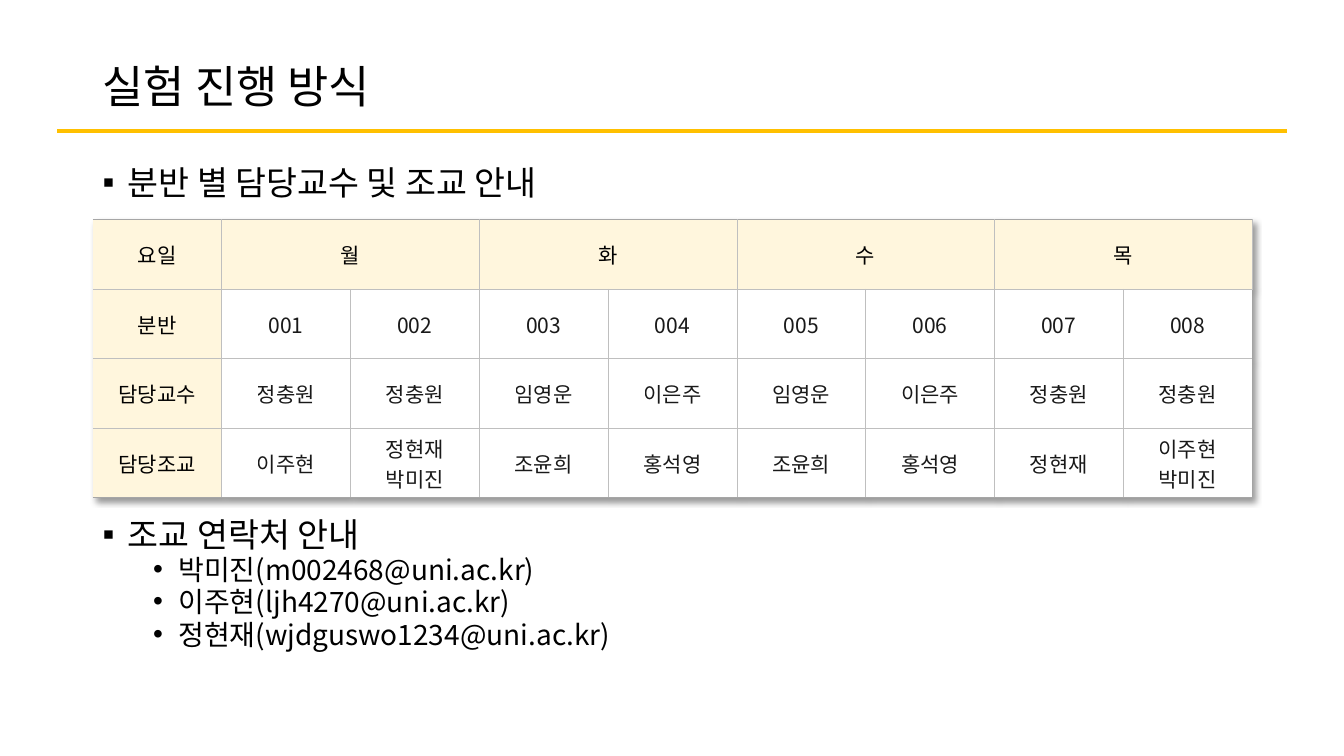
"""Build the slide on how the lab sections are run."""
from lxml.etree import SubElement
from pptx import Presentation
from pptx.dml.color import RGBColor
from pptx.enum.shapes import MSO_CONNECTOR
from pptx.enum.text import MSO_ANCHOR, PP_ALIGN
from pptx.oxml.ns import qn
from pptx.util import Emu, Inches, Pt

TITLE = "실험 진행 방식"
SECTION_HEADING = "분반 별 담당교수 및 조교 안내"
CONTACT_HEADING = "조교 연락처 안내"
CONTACTS = [
    "박미진(m002468@uni.ac.kr)",
    "이주현(ljh4270@uni.ac.kr)",
    "정현재(wjdguswo1234@uni.ac.kr)",
]
DAYS = ["월", "화", "수", "목"]
SECTIONS = [
    ["분반", "001", "002", "003", "004", "005", "006", "007", "008"],
    ["담당교수", "정충원", "정충원", "임영운", "이은주", "임영운", "이은주", "정충원", "정충원"],
    ["담당조교", "이주현", "정현재\n박미진", "조윤희", "홍석영", "조윤희", "홍석영", "정현재", "이주현\n박미진"],
]

FONT = "Noto Sans CJK KR"
BLACK = RGBColor(0x00, 0x00, 0x00)
WHITE = RGBColor(0xFF, 0xFF, 0xFF)
GOLD = RGBColor(0xFF, 0xC0, 0x00)
CREAM = RGBColor(0xFF, 0xF6, 0xDD)
GRID_GREY = RGBColor(0xBF, 0xBF, 0xBF)
EDGE_GREY = RGBColor(0xA6, 0xA6, 0xA6)

SLIDE_WIDTH, SLIDE_HEIGHT = Inches(13.33), Inches(7.5)
LEFT, CONTENT_WIDTH = Inches(0.92), Inches(11.5)
RULE_LEFT, RULE_TOP = Inches(0.57), Inches(1.3)
TABLE_TOP, ROW_HEIGHT = Inches(2.18), Inches(0.69)
ROWS, COLUMNS = len(SECTIONS) + 1, len(SECTIONS[0])
BULLETS = {
    0: {"char": "▪", "indent": 0.25, "size": 24, "before": 8},
    1: {"char": "•", "indent": 0.75, "size": 20, "before": 4},
}


def style_font(paragraph, size, alpha=None):
    font = paragraph.font
    font.size, font.name = Pt(size), FONT
    font.color.rgb = BLACK
    properties = paragraph._p.pPr.find(qn("a:defRPr"))
    if alpha:
        color = properties.find(qn("a:solidFill")).find(qn("a:srgbClr"))
        SubElement(color, qn("a:alpha"), val=str(alpha * 1000))
    SubElement(properties, qn("a:ea"), typeface=FONT)


def add_text(slide, top, height, anchor=MSO_ANCHOR.TOP):
    box = slide.shapes.add_textbox(LEFT, top, CONTENT_WIDTH, height)
    box.text_frame.word_wrap = True
    box.text_frame.vertical_anchor = anchor
    return box.text_frame


def add_bullets(slide, top, height, items):
    frame = add_text(slide, top, height)
    frame.text = "\n".join(text for text, level in items)
    for paragraph, (text, level) in zip(frame.paragraphs, items):
        bullet = BULLETS[level]
        paragraph.level = level
        properties = paragraph._p.get_or_add_pPr()
        properties.set("marL", str(Inches(bullet["indent"])))
        properties.set("indent", str(-Inches(0.25)))
        SubElement(properties, qn("a:buFont"), typeface="Arial")
        SubElement(properties, qn("a:buChar"), char=bullet["char"])
        paragraph.line_spacing = 0.79
        paragraph.space_before = Pt(bullet["before"])
        style_font(paragraph, bullet["size"])


def add_border(cell, side, color, width):
    line = SubElement(cell._tc.get_or_add_tcPr(), qn(f"a:ln{side}"), w=str(Pt(width)))
    if color is None:
        SubElement(line, qn("a:noFill"))
    else:
        fill = SubElement(line, qn("a:solidFill"))
        SubElement(fill, qn("a:srgbClr"), val=str(color))


def style_cell(cell, row, column):
    header = row == 0 or column == 0
    grid, edge, none = (GRID_GREY, 0.5), (EDGE_GREY, 1), (None, 0)
    add_border(cell, "L", *(none if column == 0 else grid))
    add_border(cell, "R", *(none if column == COLUMNS - 1 else grid))
    add_border(cell, "T", *(edge if row == 0 else grid))
    add_border(cell, "B", *(edge if row == ROWS - 1 else grid))
    cell.fill.solid()
    cell.fill.fore_color.rgb = CREAM if header else WHITE
    cell.vertical_anchor = MSO_ANCHOR.MIDDLE
    cell.margin_left = cell.margin_right = Inches(0.07)
    cell.margin_top = cell.margin_bottom = Inches(0.04)
    for paragraph in cell.text_frame.paragraphs:
        paragraph.alignment = PP_ALIGN.CENTER
        style_font(paragraph, 15, None if header else 90)


def add_shadow(table):
    effects = SubElement(table._tbl.tblPr, qn("a:effectLst"))
    table._tbl.tblPr.insert(0, effects)
    shadow = SubElement(effects, qn("a:outerShdw"), blurRad=str(Pt(4)), dist=str(Pt(3)),
                        dir="2700000", algn="tl", rotWithShape="0")
    color = SubElement(shadow, qn("a:srgbClr"), val=str(BLACK))
    SubElement(color, qn("a:alpha"), val="40000")


def add_section_table(slide):
    table = slide.shapes.add_table(ROWS, COLUMNS, LEFT, TABLE_TOP,
                                   CONTENT_WIDTH, ROW_HEIGHT * ROWS).table
    table.first_row = table.horz_banding = False
    add_shadow(table)
    for column in table.columns:
        column.width = Emu(CONTENT_WIDTH // COLUMNS)
    day_row = ["요일"] + [text for day in DAYS for text in (day, "")]
    for row, texts in enumerate([day_row] + SECTIONS):
        for column, text in enumerate(texts):
            cell = table.cell(row, column)
            cell.text = text
            style_cell(cell, row, column)
    for column in range(1, COLUMNS, 2):
        table.cell(0, column).merge(table.cell(0, column + 1))


def add_rule(slide):
    rule = slide.shapes.add_connector(MSO_CONNECTOR.STRAIGHT, RULE_LEFT, RULE_TOP,
                                      SLIDE_WIDTH - RULE_LEFT, RULE_TOP)
    rule.line.color.rgb = GOLD
    rule.line.width = Pt(3)
    SubElement(rule._element.spPr, qn("a:effectLst"))


def main():
    presentation = Presentation()
    presentation.slide_width, presentation.slide_height = SLIDE_WIDTH, SLIDE_HEIGHT
    slide = presentation.slides.add_slide(presentation.slide_layouts[6])
    title = add_text(slide, Inches(0.4), Inches(0.97), MSO_ANCHOR.MIDDLE)
    title.text = TITLE
    title.paragraphs[0].line_spacing = 0.9
    style_font(title.paragraphs[0], 32)
    add_rule(slide)
    add_bullets(slide, Inches(1.64), Inches(0.5), [(SECTION_HEADING, 0)])
    add_bullets(slide, Inches(5.13), Inches(1.97),
                [(CONTACT_HEADING, 0)] + [(contact, 1) for contact in CONTACTS])
    add_section_table(slide)
    presentation.save("out.pptx")


if __name__ == "__main__":
    main()
